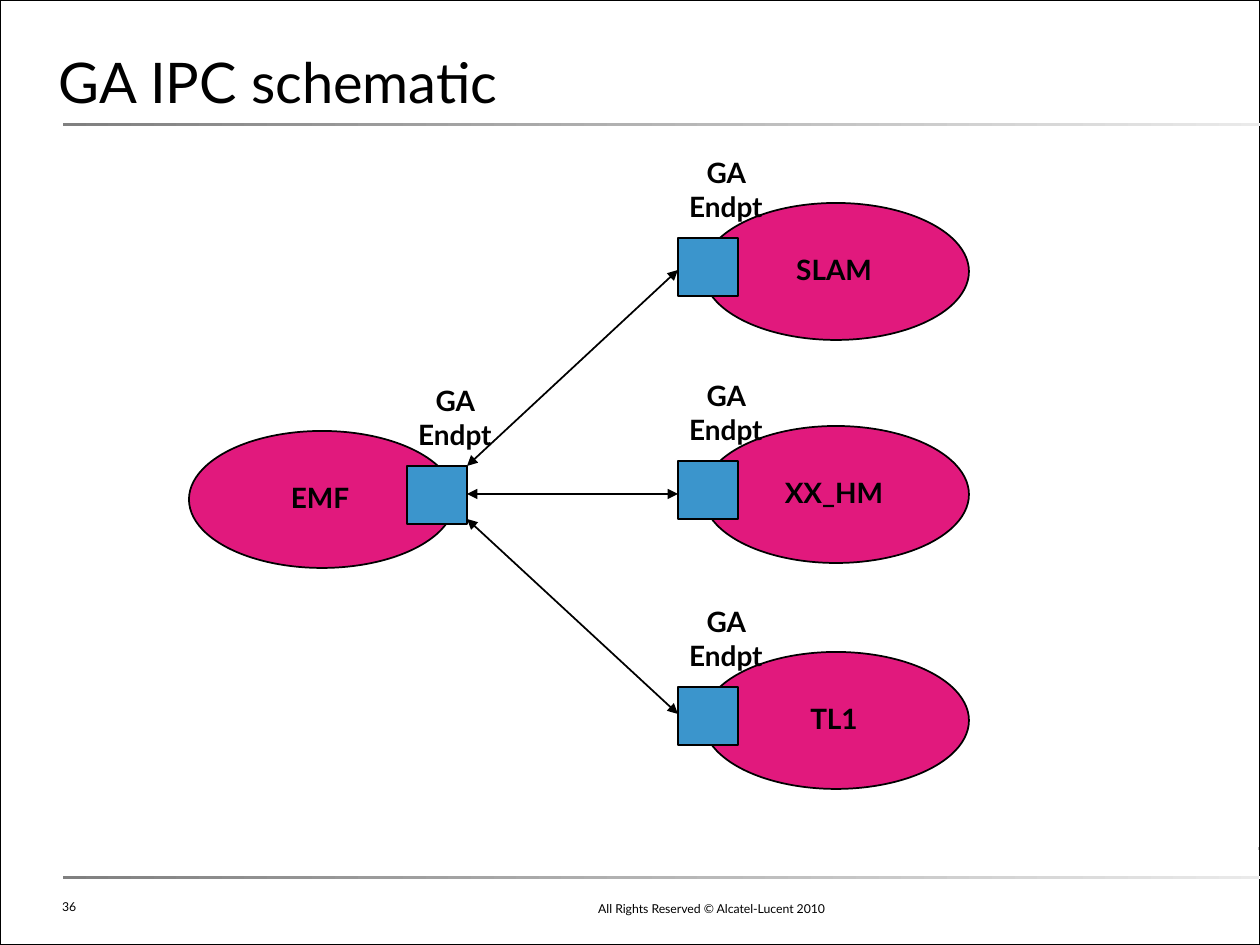
"""Build the GA IPC schematic slide."""
from lxml import etree
from pptx import Presentation
from pptx.dml.color import RGBColor
from pptx.enum.shapes import MSO_CONNECTOR, MSO_SHAPE
from pptx.enum.text import MSO_ANCHOR, PP_ALIGN
from pptx.oxml.ns import qn
from pptx.util import Emu, Pt

RECT, OVAL = MSO_SHAPE.RECTANGLE, MSO_SHAPE.OVAL
STRAIGHT = MSO_CONNECTOR.STRAIGHT
TOP, BOTTOM = MSO_ANCHOR.TOP, MSO_ANCHOR.BOTTOM
LEFT, CENTER, RIGHT = PP_ALIGN.LEFT, PP_ALIGN.CENTER, PP_ALIGN.RIGHT

BLACK = RGBColor(0x00, 0x00, 0x00)
PINK = RGBColor(0xE1, 0x19, 0x7D)
BLUE = RGBColor(0x3B, 0x95, 0xCC)
GRAY = RGBColor(0x80, 0x80, 0x80)
PALE = RGBColor(0xEA, 0xEA, 0xEA)
FONT = "Lato"
PX_PER_INCH = 126


def px(n):
    return Emu(round(n * 914400 / PX_PER_INCH))


class Canvas:
    """Holds the style and the current slide."""

    def __init__(self, prs):
        self.s = prs.slides.add_slide(prs.slide_layouts[6])

    def shape(self, kind, x, y, w, h, fill=None):
        sp = self.s.shapes.add_shape(kind, px(x), px(y), px(w), px(h))
        sp.shadow.inherit = False
        if fill is None:
            sp.fill.background()
        else:
            sp.fill.solid()
            sp.fill.fore_color.rgb = fill
        sp.line.color.rgb = BLACK
        sp.line.width = Pt(1)
        return sp

    def rule(self, x, y, w, h):
        sp = self.shape(RECT, x, y, w, h)
        sp.line.fill.background()
        sp.fill.gradient()
        sp.fill.gradient_angle = 0
        for stop, color in zip(sp.fill.gradient_stops, (GRAY, PALE)):
            stop.color.rgb = color

    def text(self, text, x, y, w, h, size, bold=False, align=LEFT,
             anchor=TOP, inset=(13, 6), wrap=True, spacing=None):
        tf = self.s.shapes.add_textbox(px(x), px(y), px(w), px(h)).text_frame
        tf.word_wrap = wrap
        tf.vertical_anchor = anchor
        tf.margin_left = tf.margin_right = px(inset[0])
        tf.margin_top = tf.margin_bottom = px(inset[1])
        p = tf.paragraphs[0]
        p.text = text
        p.alignment = align
        p.line_spacing = spacing
        p.font.name = FONT
        p.font.size = Pt(size)
        p.font.bold = bold
        p.font.color.rgb = BLACK

    def label(self, text, x, y, w, h, wrap):
        self.text(text, x, y, w, h, 16, bold=True, align=CENTER,
                  inset=(15, 15), wrap=wrap)

    def node(self, name, oval_x, port_x, port_y, name_w=106):
        self.shape(OVAL, oval_x, port_y - 35, 266, 137, PINK)
        self.shape(RECT, port_x, port_y, 60, 58, BLUE)
        self.label(name, oval_x + 131 - name_w // 2, port_y, name_w, 63, False)
        self.label("GA Endpt", port_x - 20, port_y - 97, 136, 97, True)

    def arrow(self, x1, y1, x2, y2):
        c = self.s.shapes.add_connector(STRAIGHT, px(x1), px(y1), px(x2), px(y2))
        c.line.color.rgb = BLACK
        c.line.width = Pt(1)
        ln = c.line._get_or_add_ln()
        for end in ("a:headEnd", "a:tailEnd"):
            etree.SubElement(ln, qn(end), type="triangle")
        etree.SubElement(c._element.spPr, qn("a:effectLst"))


def main():
    prs = Presentation()
    prs.slide_width, prs.slide_height = px(1260), px(945)
    c = Canvas(prs)

    c.rule(1258, 847, 1, 3)
    c.shape(RECT, 0, 0, 1260, 945)
    c.text("All Rights Reserved © Alcatel-Lucent 2010", 441, 891, 397, 31, 7,
           align=RIGHT, anchor=BOTTOM)
    for y in (876, 123):
        c.rule(63, y, 1201, 3)
    c.text("GA IPC schematic", 59, 10, 1142, 105, 32, anchor=BOTTOM,
           inset=(0, 0), spacing=1.2)

    c.node("EMF", 189, 407, 466)
    c.node("SLAM", 703, 678, 238)
    c.node("TL1", 703, 678, 687)
    c.node("XX_HM", 703, 678, 461, name_w=162)
    for start_y, end_y in ((466, 270), (494, 494), (519, 714)):
        c.arrow(467, start_y, 678, end_y)

    c.text("36", 49, 893, 534, 29, 7)
    prs.save("out.pptx")


if __name__ == "__main__":
    main()
